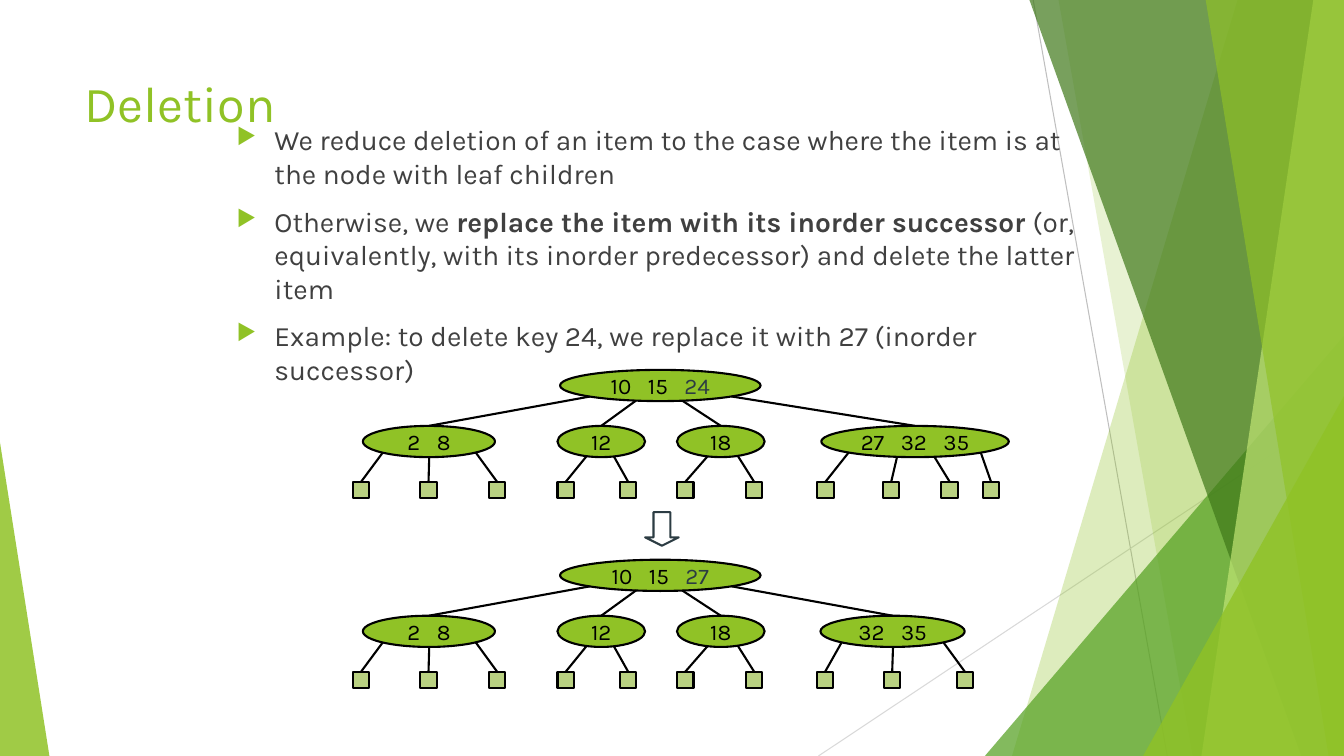
from math import sqrt

from lxml import etree
from pptx import Presentation
from pptx.dml.color import RGBColor
from pptx.enum.shapes import MSO_CONNECTOR, MSO_SHAPE
from pptx.enum.text import MSO_ANCHOR, PP_ALIGN
from pptx.oxml.ns import qn
from pptx.util import Pt

STRAIGHT = MSO_CONNECTOR.STRAIGHT
ELLIPSE, RECT = MSO_SHAPE.OVAL, MSO_SHAPE.RECTANGLE
TRIANGLE, DOWN_ARROW = MSO_SHAPE.ISOSCELES_TRIANGLE, MSO_SHAPE.DOWN_ARROW
MIDDLE, CENTER = MSO_ANCHOR.MIDDLE, PP_ALIGN.CENTER

GREEN = RGBColor(0x90, 0xC2, 0x26)
MID_GREEN = RGBColor(0x54, 0xA0, 0x21)
DARK_GREEN = RGBColor(0x3F, 0x78, 0x19)
PALE_GREEN = RGBColor(0xC0, 0xE4, 0x74)
LEAF_GREEN = RGBColor(0xB9, 0xD1, 0x81)
BLACK = RGBColor(0, 0, 0)
SLATE = RGBColor(0x2C, 0x3C, 0x43)
TEXT_GRAY = RGBColor(0x40, 0x40, 0x40)
LINE_GRAY = RGBColor(0xBF, 0xBF, 0xBF)
LIGHT_GRAY = RGBColor(0xD9, 0xD9, 0xD9)

FONT = "Karla"
WIDTH, HEIGHT = 960, 540
TOP = -0.7

TITLE = "Deletion"
# Each bullet is a list of (text, bold) runs.
BULLETS = [
    [("We reduce deletion of an item to the case where the item is at "
      "the node with leaf children", False)],
    [("Otherwise, we ", False),
     ("replace the item with its inorder successor", True),
     (" (or, equivalently, with its inorder predecessor) and delete the "
      "latter item", False)],
    [("Example: to delete key 24, we replace it with 27 (inorder successor)",
      False)],
]

# Background lines: start, end, colour.
RAYS = [((738, 0), (833.8, HEIGHT), LINE_GRAY),
        ((WIDTH, 290.2), (584.6, HEIGHT), LIGHT_GRAY)]
# Bands run to the right edge: x at the top, x at the bottom, colour, opacity %.
# Triangles: left, top, width, apex position, colour, opacity %.
FACETS = [
    ("band", (884.2, 722.9, GREEN, 30)),
    ("band", (756, 851.8, GREEN, 20)),
    ("triangle", (703.5, 239.8, 256.5, 1, MID_GREEN, 72)),
    ("band", (735.1, 929.5, DARK_GREEN, 70)),
    ("band", (938.2, 858.2, PALE_GREEN, 70)),
    ("band", (861.1, 949, GREEN, 65)),
    ("triangle", (816.5, 283, 143.5, 1, GREEN, 80)),
    ("triangle", (0, 316.1, 35.3, 0, GREEN, 85)),
]

# Children: keys, left, width, x of the edge on the root,
# leaves as (left, x of the edge on the child).
SHARED_CHILDREN = [
    (["2", "8"], 259.2, 94.4, 421.2,
     [(252, 273.4), (300.2, 306.6), (349.2, 339.8)]),
    (["12"], 398.2, 62.6, 454.3, [(398.2, 419), (442.8, 438.5)]),
    (["18"], 483.6, 62.6, 487.4, [(483.6, 505.4), (532.8, 527)]),
]
FULL_CHILD = (["27", "32", "35"], 586.6, 134, 522.5,
              [(583.7, 606.2), (630.7, 640.8), (672.5, 667.4), (702, 700.6)])
REDUCED_CHILD = (["32", "35"], 586.1, 103, 522.5,
                 [(583.5, 601.2), (631.4, 637.9), (683.3, 673.9)])
# Trees: top, root keys, children.
TREES = [(264.2, ["10", "15", "24"], SHARED_CHILDREN + [FULL_CHILD]),
         (399.8, ["10", "15", "27"], SHARED_CHILDREN + [REDUCED_CHILD])]
ROOT_LEFT, ROOT_WIDTH = 400, 143.3
NODE_HEIGHT, LEAF_SIZE, LEVEL_STEP = 22.3, 11.8, 40
KEY_GAP = "800"  # extra width of the space between keys, 1/100 pt

prs = Presentation()
prs.slide_width, prs.slide_height = Pt(WIDTH), Pt(HEIGHT)
slide = prs.slides.add_slide(prs.slide_layouts[6])
shapes = slide.shapes


def style(sp, fill=None, line=None, opacity=None):
    sp.shadow.inherit = False
    if fill is None:
        sp.fill.background()
    else:
        sp.fill.solid()
        sp.fill.fore_color.rgb = fill
    if line is None:
        sp.line.fill.background()
    else:
        sp.line.color.rgb = line
        sp.line.width = Pt(1.5)
    if opacity is not None:
        color = sp.fill._xPr.find(qn("a:solidFill"))[0]
        etree.SubElement(color, qn("a:alpha"), val=str(opacity * 1000))


def add_shape(kind, left, top, width, height, **look):
    sp = shapes.add_shape(kind, Pt(left), Pt(top), Pt(width), Pt(height))
    style(sp, **look)
    return sp


def add_line(start, end, color=BLACK, width=1.5):
    c = shapes.add_connector(STRAIGHT, *(Pt(v) for v in (*start, *end)))
    c.line.color.rgb = color
    c.line.width = Pt(width)
    etree.SubElement(c._element.spPr, qn("a:effectLst"))
    return c


def add_run(p, text, color, **font):
    r = p.add_run()
    r.text = text
    r.font.color.rgb = color
    for name, value in {"name": FONT, **font}.items():
        setattr(r.font, name, value)
    return r


def add_text_box(left, top, width, height):
    tf = shapes.add_textbox(Pt(left), Pt(top), Pt(width), Pt(height)).text_frame
    tf.word_wrap = True
    return tf


def add_bullet(p):
    pPr = p._p.get_or_add_pPr()
    pPr.set("marL", str(Pt(27)))
    pPr.set("indent", str(-Pt(27)))
    color = etree.SubElement(pPr, qn("a:buClr"))
    etree.SubElement(color, qn("a:srgbClr"), val=str(GREEN))
    etree.SubElement(pPr, qn("a:buSzPct"), val="80000")
    etree.SubElement(pPr, qn("a:buChar"), char="▶")


def add_node(keys, left, top, width, last_color=BLACK):
    sp = add_shape(ELLIPSE, left, top, width, NODE_HEIGHT,
                   fill=GREEN, line=BLACK)
    tf = sp.text_frame
    tf.word_wrap = False
    tf.vertical_anchor = MIDDLE
    p = tf.paragraphs[0]
    p.alignment = CENTER
    for i, key in enumerate(keys):
        if i:
            gap = add_run(p, " ", BLACK, size=Pt(16))
            gap._r.get_or_add_rPr().set("spc", KEY_GAP)
        color = last_color if i == len(keys) - 1 else BLACK
        add_run(p, key, color, size=Pt(16))
    return sp


def rim(x, left, top, width):
    """Point at x on the lower half of a node's ellipse."""
    t = (x - left - width / 2) / (width / 2)
    return x, top + NODE_HEIGHT / 2 * (1 + sqrt(1 - t * t))


def add_tree(top, root_keys, children):
    add_node(root_keys, ROOT_LEFT, top, ROOT_WIDTH, SLATE)
    child_top, leaf_top = top + LEVEL_STEP, top + 2 * LEVEL_STEP
    for keys, left, width, root_x, leaves in children:
        node = add_node(keys, left, child_top, width)
        start = rim(root_x, ROOT_LEFT, top, ROOT_WIDTH)
        add_line(start, (left + width / 2, child_top)).end_connect(node, 0)
        for leaf_left, x in leaves:
            leaf = add_shape(RECT, leaf_left, leaf_top, LEAF_SIZE, LEAF_SIZE,
                             fill=LEAF_GREEN, line=BLACK)
            end = (leaf_left + LEAF_SIZE / 2, leaf_top)
            edge = add_line(rim(x, left, child_top, width), end)
            edge.end_connect(leaf, 0)


for start, end, color in RAYS:
    add_line(start, end, color, 0.75)
for kind, values in FACETS:
    if kind == "band":
        top_x, bottom_x, color, opacity = values
        fb = shapes.build_freeform(Pt(top_x), Pt(TOP))
        fb.add_line_segments([(Pt(x), Pt(y)) for x, y in (
            (WIDTH, TOP), (WIDTH, HEIGHT), (bottom_x, HEIGHT))])
        style(fb.convert_to_shape(), fill=color, opacity=opacity)
    else:
        left, top, width, apex, color, opacity = values
        sp = add_shape(TRIANGLE, left, top, width, HEIGHT - top,
                       fill=color, opacity=opacity)
        sp.adjustments[0] = apex

tf = add_text_box(53.3, 48.2, 676.8, 103.7)
add_run(tf.paragraphs[0], TITLE, GREEN, size=Pt(36))

tf = add_text_box(162, 84.2, 635.8, 185)
for i, runs in enumerate(BULLETS):
    p = tf.add_paragraph() if i else tf.paragraphs[0]
    add_bullet(p)
    if i:
        p.space_before = Pt(10)
    for text, bold in runs:
        add_run(p, text, TEXT_GRAY, size=Pt(20), bold=bold)

for tree in TREES:
    add_tree(*tree)
arrow = add_shape(DOWN_ARROW, 460.8, 365.8, 24, 24, line=SLATE)
arrow.adjustments[1] = 0.25

prs.save("out.pptx")
